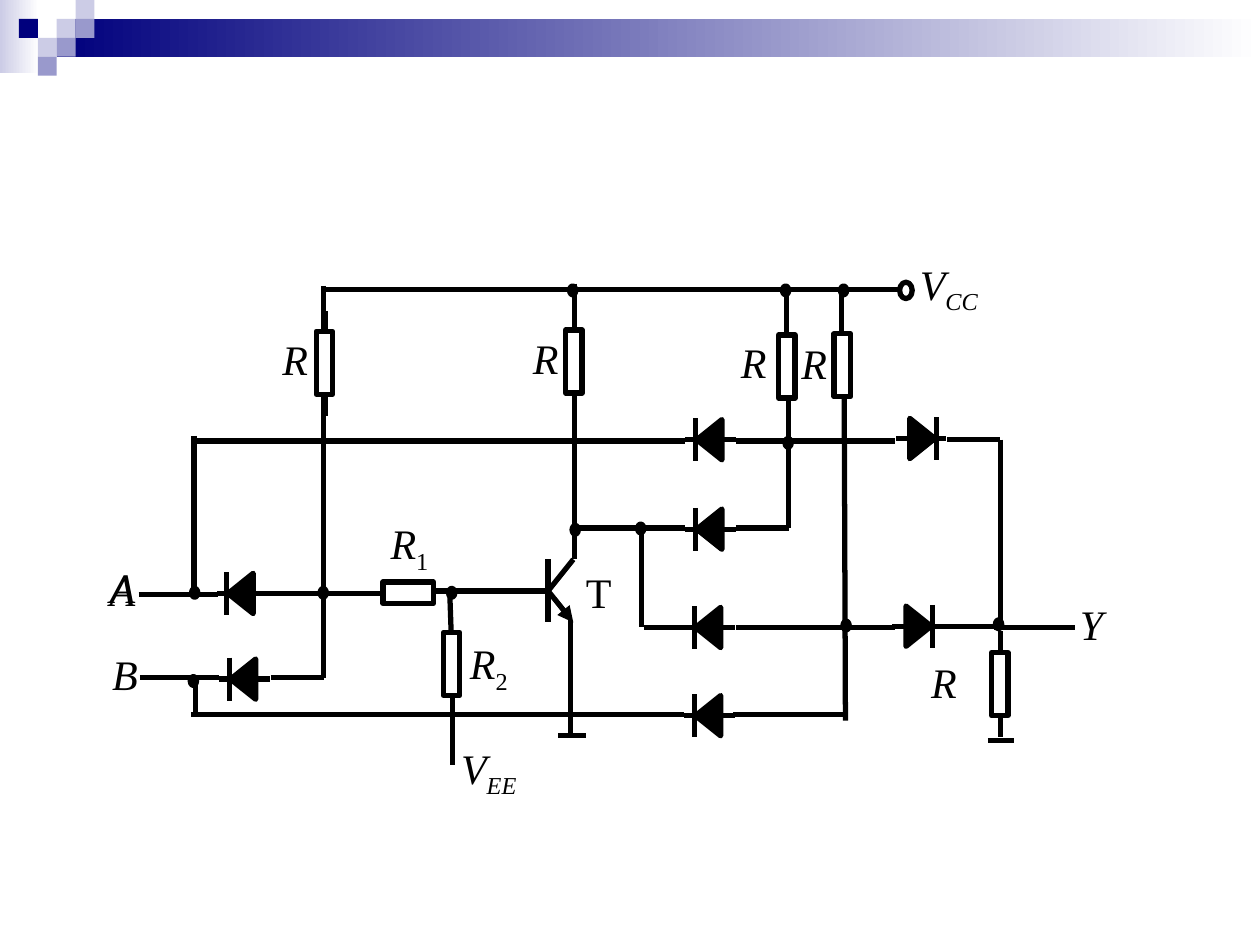
from lxml import etree
from pptx import Presentation
from pptx.dml.color import RGBColor
from pptx.enum.shapes import MSO_CONNECTOR, MSO_SHAPE
from pptx.enum.text import PP_ALIGN
from pptx.oxml.ns import qn
from pptx.util import Inches, Pt

RECT = MSO_SHAPE.RECTANGLE
OVAL = MSO_SHAPE.OVAL
TRIANGLE = MSO_SHAPE.ISOSCELES_TRIANGLE
STRAIGHT = MSO_CONNECTOR.STRAIGHT
JUSTIFY = PP_ALIGN.JUSTIFY

COLORS = {name: RGBColor.from_string(value) for name, value in {
    "ink": "000000", "paper": "FFFFFF",
    "navy": "00007D", "mid": "9999CC", "pale": "CCCCE6",
}.items()}
FONT = "Times New Roman"
STROKE = Pt(3)

prs = Presentation()
prs.slide_width, prs.slide_height = Inches(10), Inches(7.5)
slide = prs.slides.add_slide(prs.slide_layouts[6])
shapes = slide.shapes

# The slide is a grid of 1000 columns by 750 rows of square cells
CELL = prs.slide_width // 1000


def add_block(kind, left, top, width, height, color, outlined=True):
    block = shapes.add_shape(kind, *(round(n * CELL) for n in (left, top, width, height)))
    block.shadow.inherit = False
    block.fill.solid()
    block.fill.fore_color.rgb = COLORS[color]
    if outlined:
        block.line.color.rgb = COLORS["ink"]
        block.line.width = STROKE
    else:
        block.line.fill.background()
    return block


def add_wire(x1, y1, x2, y2):
    wire = shapes.add_connector(STRAIGHT, *(round(n * CELL) for n in (x1, y1, x2, y2)))
    wire.line.color.rgb = COLORS["ink"]
    wire.line.width = STROKE
    etree.SubElement(wire._element.spPr, qn("a:effectLst"))
    return wire


# Header: two fading bands, then squares on a 15-cell checkerboard
for left, top, width, height, start in [(0, 0, 31, 58, "pale"), (45, 15, 955, 30, "navy")]:
    band = add_block(RECT, left, top, width, height, start, outlined=False)
    band.fill.gradient()
    band.fill.gradient_angle = 0
    for stop, color in zip(band.fill.gradient_stops, (start, "paper")):
        stop.color.rgb = COLORS[color]

for column, row, color in [
    (3, 1, "pale"), (4, 0, "pale"), (4, 1, "mid"), (2, 2, "pale"),
    (1, 1, "navy"), (3, 2, "mid"), (2, 3, "mid"),
]:
    add_block(RECT, column * 15, row * 15, 15, 15, color, outlined=False)

# Wires
for ends in [
    # Supply rail and its pull-up branches
    (257, 230, 714, 230),
    (257, 227, 257, 453), (257, 446, 257, 538),
    (258, 247, 258, 263), (258, 313, 258, 330),
    (456, 225, 456, 397), (456, 387, 456, 444),
    (624, 231, 624, 266), (626, 312, 626, 419),
    (668, 230, 668, 264), (670, 312, 671, 572),
    # Inputs A and B
    (110, 472, 173, 472), (200, 471, 304, 471), (154, 346, 154, 470),
    (111, 538, 174, 538), (215, 538, 257, 538), (155, 538, 155, 565),
    # Rows through the diodes
    (154, 350, 544, 350), (584, 350, 710, 350), (752, 349, 794, 349),
    (456, 419, 540, 419), (481, 419, 544, 419), (584, 419, 626, 419),
    (509, 417, 509, 498), (511, 498, 543, 498), (584, 498, 710, 498),
    (152, 567, 543, 567), (582, 567, 670, 567),
    # Base divider down to the negative supply
    (345, 469, 435, 469), (357, 471, 358, 500),
    (359, 553, 359, 569), (359, 561, 359, 607),
    # Transistor collector, base bar, emitter lead and ground
    (435, 469, 455, 444), (435, 444, 435, 494),
    (453, 492, 453, 584), (443, 584, 465, 584),
    # Output Y and its load
    (747, 497, 789, 497), (789, 498, 853, 498), (794, 349, 794, 492),
    (794, 501, 794, 518), (794, 568, 794, 585), (784, 588, 805, 588),
]:
    add_wire(*ends)

# Emitter with arrowhead
emitter = add_wire(435, 469, 455, 494)
etree.SubElement(emitter.line._get_or_add_ln(), qn("a:tailEnd"), type="triangle")

# Diodes by centre; direction -1 points left, 1 points right
for x, y, direction in [
    (191, 471, -1), (193, 539, -1),
    (563, 349, -1), (563, 420, -1), (562, 498, -1), (562, 568, -1),
    (732, 348, 1), (729, 497, 1),
]:
    anode = add_block(TRIANGLE, x - 16, y - 10, 32, 20, "ink")
    anode.rotation = direction * 90
    bar = x + direction * 11
    add_wire(x - direction * 9, y, x - direction * 21, y)
    add_wire(bar, y, x + direction * 19, y)
    add_wire(bar, y - 17, bar, y + 17)

# Resistors: upright ones, then R1 lying flat
for left, top in [(251, 263), (449, 262), (618, 266), (662, 265), (352, 502), (787, 518)]:
    add_block(RECT, left, top, 13, 50, "paper")
add_block(RECT, 304, 462, 40, 17, "paper")

# Junction dots and the supply terminal
for left, top in [
    (254, 467), (356, 467), (454, 417), (452, 227), (623, 348), (669, 493),
    (506, 416), (621, 227), (667, 227), (790, 492), (151, 537), (152, 467),
]:
    add_block(OVAL, left, top, 5, 7, "ink")
add_block(OVAL, 714, 224, 10, 13, "paper")

# Labels: main letter and subscript
for left, top, width, height, letter, subscript in [
    (87, 446, 21, 41, "A", ""), (87, 448, 21, 41, "A", ""), (89, 515, 21, 41, "B", ""),
    (224, 265, 42, 46, "R", ""), (423, 264, 42, 46, "R", ""),
    (588, 267, 42, 46, "R", ""), (636, 268, 42, 46, "R", ""),
    (739, 521, 42, 46, "R", ""), (310, 411, 42, 46, "R", "1"),
    (373, 506, 42, 46, "R", "2"), (465, 450, 21, 46, "T", ""),
    (857, 475, 40, 46, "Y", ""), (730, 205, 80, 46, "V", "CC"),
    (366, 589, 103, 46, "V", "EE"),
]:
    frame = shapes.add_textbox(*(n * CELL for n in (left, top, width, height))).text_frame
    frame.word_wrap = True
    frame.margin_left = frame.margin_right = frame.margin_top = frame.margin_bottom = 0
    label = frame.paragraphs[0]
    label.alignment = JUSTIFY
    label.font.name = FONT
    label.font.size = Pt(24)
    label.font.color.rgb = COLORS["ink"]
    symbol = label.add_run()
    symbol.text = letter
    symbol.font.italic = letter != "T"
    if subscript:
        index = label.add_run()
        index.text = subscript
        index.font.italic = subscript.isalpha()
        index._r.get_or_add_rPr().set("baseline", "-25000")

prs.save("out.pptx")
